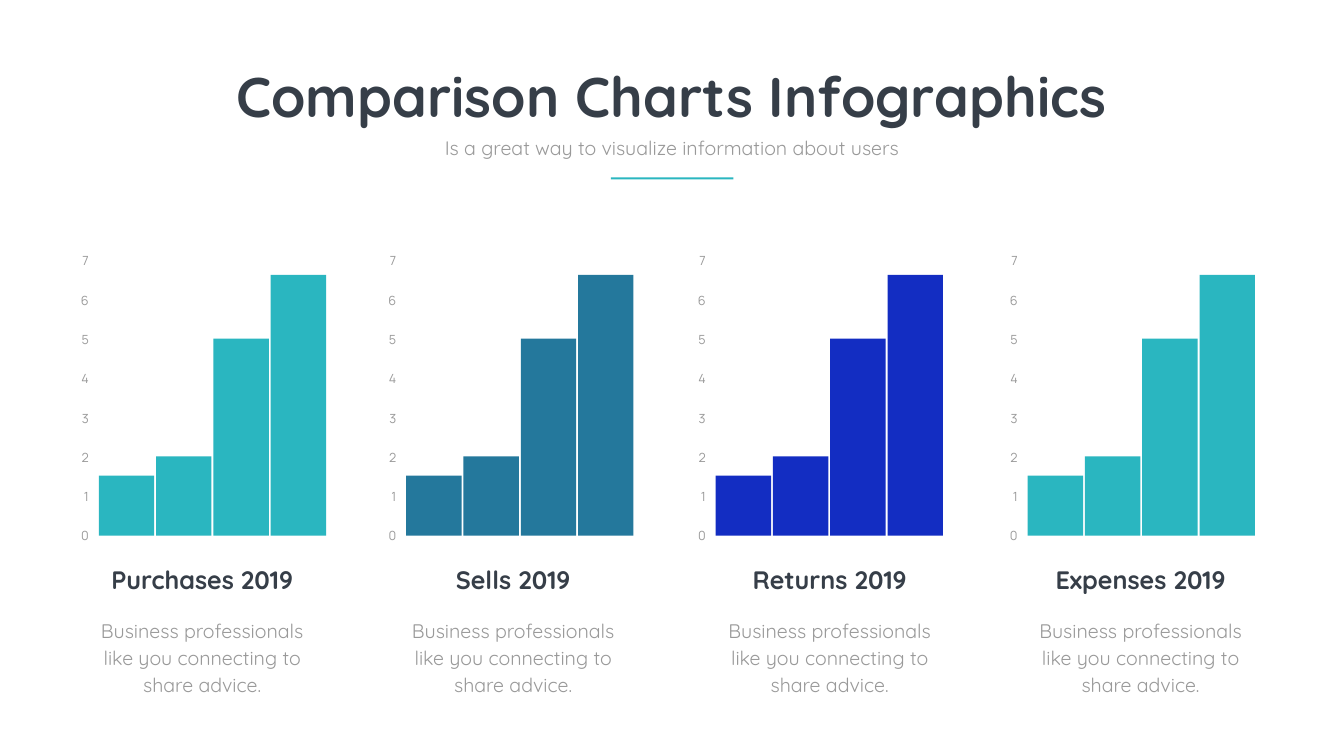
import pptx
import pptx.dml.color
import pptx.enum.shapes
import pptx.enum.text
import pptx.util

presentation = pptx.Presentation()
presentation.slide_width = pptx.util.Inches(26.67)
presentation.slide_height = pptx.util.Inches(15)
column = presentation.slide_width / 80
row = presentation.slide_height / 45
slide = presentation.slides.add_slide(presentation.slide_layouts[0])
title, subtitle = slide.placeholders

CENTER = pptx.enum.text.PP_ALIGN.CENTER
RIGHT = pptx.enum.text.PP_ALIGN.RIGHT
INK, GRAY, TEAL, BLUE, NAVY = "363E48", "999999", "2AB6C0", "24789C", "132DC2"
FORMATS = {
    "title": {"size": 80, "name": "Quicksand", "bold": True, "color": INK},
    "caption": {"size": 36, "name": "Quicksand", "bold": True, "color": INK},
    "body": {"size": 28, "name": "Quicksand", "bold": False, "color": GRAY},
    "tick": {"size": 18, "name": "Manrope", "bold": False, "color": GRAY},
}


def write(shape, place, text, style, alignment=CENTER, spacing=1.0, wrap=True):
    left, top, width, height = place
    frame = shape.text_frame
    paragraph = frame.paragraphs[0]
    run = paragraph.add_run()
    run.text = text
    settings = dict(FORMATS[style])
    run.font.color.rgb = pptx.dml.color.RGBColor.from_string(settings.pop("color"))
    settings["size"] = pptx.util.Pt(settings["size"])
    for target, values in (
        (run.font, settings),
        (paragraph, {"alignment": alignment, "line_spacing": spacing,
                     "space_before": pptx.util.Pt(0)}),
        (frame, {"word_wrap": wrap,
                 "vertical_anchor": pptx.enum.text.MSO_ANCHOR.TOP,
                 "auto_size": pptx.enum.text.MSO_AUTO_SIZE.SHAPE_TO_FIT_TEXT}),
        (shape, {"left": round(left * column), "top": round(top * row),
                 "width": round(width * column), "height": round(height * row)}),
    ):
        for name, value in values.items():
            setattr(target, name, value)


def add_bar(left, top, width, height, color):
    bar = slide.shapes.add_shape(
        pptx.enum.shapes.MSO_SHAPE.RECTANGLE,
        round(left * column), round(top * row),
        round(width * column), round(height * row))
    bar.shadow.inherit = False
    bar.fill.solid()
    bar.fill.fore_color.rgb = pptx.dml.color.RGBColor.from_string(color)
    bar.line.fill.background()


write(title, (13.41, 3.51, 53.13, 4.35), "Comparison Charts Infographics", "title", wrap=False)
write(subtitle, (25.65, 7.95, 28.68, 1.71),
      "Is a great way to visualize information about users", "body")
add_bar(36.36, 10.56, 7.29, 0.12, TEAL)

bar_heights = [3.57, 4.71, 11.73, 15.51]
baseline = 31.88
bar_width, bar_pitch = 3.3, 3.41
top_tick, tick_top, tick_pitch = 7, 14.34, 2.34
advice = "Business professionals like you connecting to share advice."
panels = [
    ("Purchases 2019", TEAL, 5.88, 5.37),
    ("Sells 2019", BLUE, 24.18, 23.88),
    ("Returns 2019", NAVY, 42.6, 42.72),
    ("Expenses 2019", TEAL, 61.17, 61.23),
]

for caption, color, chart_left, text_left in panels:
    for index, height in enumerate(bar_heights):
        add_bar(chart_left + index * bar_pitch, baseline - height, bar_width, height, color)
    labels = [
        ((chart_left - 2.07, tick_top + (top_tick - tick) * tick_pitch, 1.77, 1.89),
         str(tick), "tick", RIGHT, pptx.util.Pt(35.6))
        for tick in range(top_tick + 1)
    ]
    labels.append(((text_left + 0.48, 33.45, 12.36, 2.13), caption, "caption"))
    labels.append(((text_left, 36.48, 13.32, 5.16), advice, "body", CENTER, pptx.util.Pt(38.6)))
    for label in labels:
        write(slide.shapes.add_textbox(0, 0, 0, 0), *label)

presentation.save("out.pptx")
